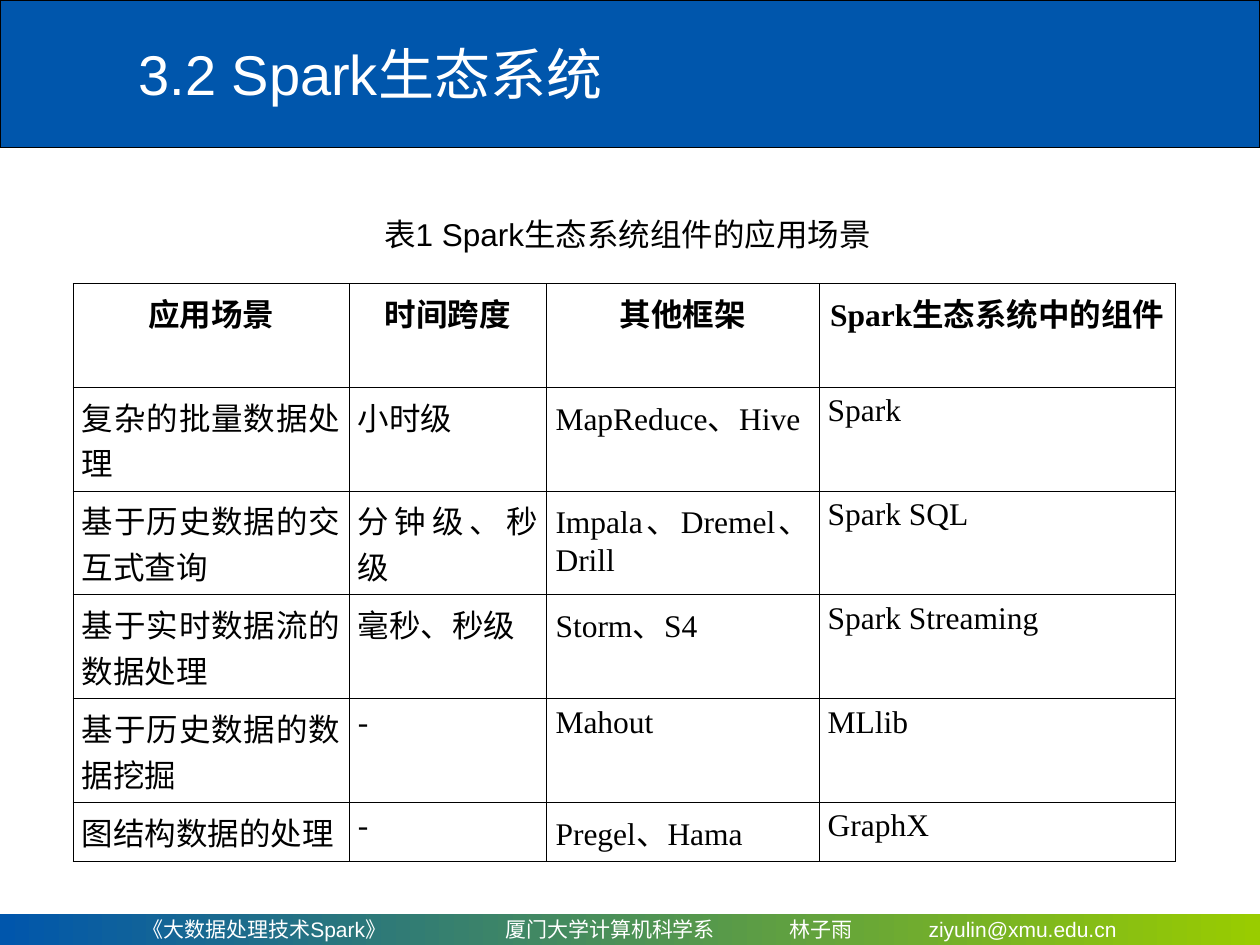
from dataclasses import dataclass

from lxml import etree
from pptx import Presentation
from pptx.dml.color import RGBColor
from pptx.enum.dml import MSO_THEME_COLOR
from pptx.enum.shapes import MSO_SHAPE
from pptx.enum.text import MSO_ANCHOR, PP_ALIGN
from pptx.oxml.ns import qn
from pptx.util import Inches, Pt

RECTANGLE = MSO_SHAPE.RECTANGLE
ACCENT = MSO_THEME_COLOR.ACCENT_1
MIDDLE, TOP = MSO_ANCHOR.MIDDLE, MSO_ANCHOR.TOP
LEFT, CENTER, JUSTIFY = PP_ALIGN.LEFT, PP_ALIGN.CENTER, PP_ALIGN.JUSTIFY


@dataclass(frozen=True)
class Theme:
    blue: str = "0056AC"
    green: str = "99CC00"
    ink: str = "000000"
    paper: str = "FFFFFF"
    sans: str = "Arial"
    serif: str = "Times New Roman"
    title_size: int = 32
    body_size: int = 18
    footer_size: int = 12
    banner_line: float = 0.75
    grid_line: float = 0.45


@dataclass(frozen=True)
class TextStyle:
    font: str
    size: int
    color: str
    align: PP_ALIGN = LEFT
    bold: bool = False


@dataclass(frozen=True)
class Box:
    left: float
    top: float
    width: float
    height: float

    def lengths(self) -> tuple:
        return tuple(Inches(v) for v in (self.left, self.top, self.width, self.height))


THEME = Theme()
TITLE = TextStyle(THEME.sans, THEME.title_size, THEME.paper)
CAPTION = TextStyle(THEME.sans, THEME.body_size, THEME.ink)
FOOTER = TextStyle(THEME.sans, THEME.footer_size, THEME.paper)
HEADER_CELL = TextStyle(THEME.serif, THEME.body_size, THEME.ink, CENTER, True)
BODY_CELL = TextStyle(THEME.serif, THEME.body_size, THEME.ink, JUSTIFY)

SCENARIOS = [
    ("应用场景", "时间跨度", "其他框架", "Spark生态系统中的组件"),
    ("复杂的批量数据处理", "小时级", "MapReduce、Hive", "Spark"),
    ("基于历史数据的交互式查询", "分钟级、秒级", "Impala、Dremel、Drill", "Spark SQL"),
    ("基于实时数据流的数据处理", "毫秒、秒级", "Storm、S4", "Spark Streaming"),
    ("基于历史数据的数据挖掘", "-", "Mahout", "MLlib"),
    ("图结构数据的处理", "-", "Pregel、Hama", "GraphX"),
]
COLUMN_WIDTHS = [2.19, 1.57, 2.16, 2.83]
TWO_LINE_ROWS = 5
ROW_HEIGHTS = [4.12 / TWO_LINE_ROWS] * TWO_LINE_ROWS + [0.47]
CELL_FORMAT = {
    "margin_left": Inches(0.07),
    "margin_right": Inches(0.07),
    "margin_top": Inches(0.05),
    "margin_bottom": Inches(0.05),
    "vertical_anchor": TOP,
}
FOOTER_PARTS = ["《大数据处理技术Spark》", "厦门大学计算机科学系", "林子雨", "ziyulin@xmu.edu.cn"]
FOOTER_START = 1.13
FOOTER_TABS = [2.88, 5.14, 6.24]


def write(paragraph, text: str, style: TextStyle) -> None:
    paragraph.alignment = style.align
    run = paragraph.add_run()
    run.text = text
    for name, value in {"name": style.font, "size": Pt(style.size), "bold": style.bold}.items():
        setattr(run.font, name, value)
    run.font.color.rgb = RGBColor.from_string(style.color)


def add_tab_stops(paragraph, positions: list[float]) -> None:
    tab_list = etree.SubElement(paragraph._p.get_or_add_pPr(), qn("a:tabLst"))
    for position in positions:
        etree.SubElement(tab_list, qn("a:tab"), pos=str(Inches(position)), algn="l")


def add_rectangle(slide, box: Box):
    rectangle = slide.shapes.add_shape(RECTANGLE, *box.lengths())
    rectangle.shadow.inherit = False
    return rectangle


def add_text(slide, box: Box, text: str, style: TextStyle, wrap: bool, anchor: MSO_ANCHOR) -> None:
    frame = slide.shapes.add_textbox(*box.lengths()).text_frame
    frame.word_wrap = wrap
    frame.vertical_anchor = anchor
    write(frame.paragraphs[0], text, style)


def add_banner(slide) -> None:
    banner = add_rectangle(slide, Box(0, 0, 10, 1.17))
    banner.fill.solid()
    banner.fill.fore_color.rgb = RGBColor.from_string(THEME.blue)
    banner.line.color.rgb = RGBColor.from_string(THEME.ink)
    banner.line.width = Pt(THEME.banner_line)


def add_footer(slide) -> None:
    footer = add_rectangle(slide, Box(0, 7.25, 10, 0.25))
    footer.line.fill.background()
    footer.fill.gradient()
    footer.fill.gradient_angle = 0
    for stop, color, position in zip(footer.fill.gradient_stops, (THEME.blue, THEME.green), (0, 1)):
        stop.color.theme_color = ACCENT
        stop.color.rgb = RGBColor.from_string(color)
        stop.position = position
    frame = footer.text_frame
    frame.word_wrap = True
    frame.vertical_anchor = MIDDLE
    frame.margin_left = Inches(FOOTER_START)
    add_tab_stops(frame.paragraphs[0], FOOTER_TABS)
    write(frame.paragraphs[0], "\t".join(FOOTER_PARTS), FOOTER)


def add_borders(cell) -> None:
    properties = cell._tc.get_or_add_tcPr()
    for side in ("lnL", "lnR", "lnT", "lnB"):
        line = etree.SubElement(properties, qn(f"a:{side}"), w=str(Pt(THEME.grid_line)))
        fill = etree.SubElement(line, qn("a:solidFill"))
        etree.SubElement(fill, qn("a:srgbClr"), val=THEME.ink)


def add_scenario_table(slide) -> None:
    box = Box(0.58, 2.25, sum(COLUMN_WIDTHS), sum(ROW_HEIGHTS))
    table = slide.shapes.add_table(len(SCENARIOS), len(COLUMN_WIDTHS), *box.lengths()).table
    table.first_row = table.horz_banding = False
    for column, width in zip(table.columns, COLUMN_WIDTHS):
        column.width = Inches(width)
    for row, height in zip(table.rows, ROW_HEIGHTS):
        row.height = Inches(height)
    for r, scenario in enumerate(SCENARIOS):
        for c, text in enumerate(scenario):
            cell = table.cell(r, c)
            for name, value in CELL_FORMAT.items():
                setattr(cell, name, value)
            add_borders(cell)
            cell.fill.background()
            write(cell.text_frame.paragraphs[0], text, BODY_CELL if r else HEADER_CELL)


def main() -> None:
    deck = Presentation()
    deck.slide_width, deck.slide_height = Inches(10), Inches(7.5)
    slide = deck.slides.add_slide(deck.slide_layouts[6])
    add_banner(slide)
    add_footer(slide)
    add_text(slide, Box(1, 0.08, 8.08, 1), "3.2 Spark生态系统", TITLE, True, MIDDLE)
    add_scenario_table(slide)
    add_text(slide, Box(2.95, 1.66, 4.18, 0.4), "表1 Spark生态系统组件的应用场景", CAPTION, False, TOP)
    deck.save("out.pptx")


if __name__ == "__main__":
    main()
